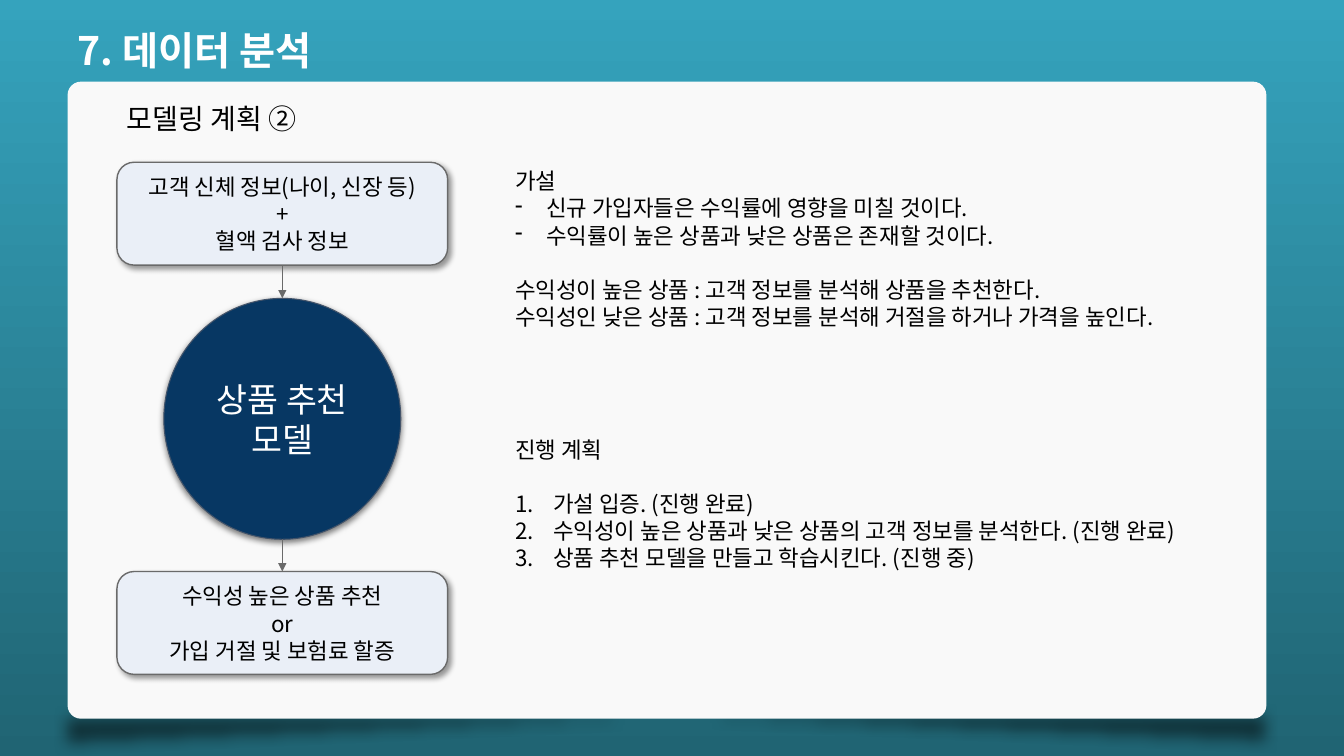
from pptx import Presentation
from pptx.dml.color import RGBColor
from pptx.enum.shapes import MSO_CONNECTOR, MSO_SHAPE
from pptx.enum.text import MSO_ANCHOR, MSO_AUTO_SIZE, PP_ALIGN
from pptx.oxml.ns import qn
from pptx.util import Inches, Pt
from lxml.etree import SubElement

# Content
TITLE = "7. 데이터 분석"
SUBTITLE = "모델링 계획 ②"
CUSTOMER_DATA = ["고객 신체 정보(나이, 신장 등)", "+", "혈액 검사 정보"]
MODEL = ["상품 추천", "모델"]
DECISION = ["수익성 높은 상품 추천", "or", "가입 거절 및 보험료 할증"]
# Each paragraph: text, list kind, starts a new block
HYPOTHESIS = [
    ("가설", None, False),
    ("신규 가입자들은 수익률에 영향을 미칠 것이다.", "dash", False),
    ("수익률이 높은 상품과 낮은 상품은 존재할 것이다.", "dash", False),
    ("수익성이 높은 상품 : 고객 정보를 분석해 상품을 추천한다.", None, True),
    ("수익성인 낮은 상품 : 고객 정보를 분석해 거절을 하거나 가격을 높인다.", None, False),
]
SCHEDULE = [
    ("진행 계획", None, False),
    ("가설 입증. (진행 완료)", "number", True),
    ("수익성이 높은 상품과 낮은 상품의 고객 정보를 분석한다. (진행 완료)", "number", False),
    ("상품 추천 모델을 만들고 학습시킨다. (진행 중)", "number", False),
]

# Format
FONT = "Noto Sans CJK KR"
LINE_HEIGHT = 1.21
COLORS = {"sky": "35A3BD", "sea": "206473", "panel": "F9F9F9", "black": "000000",
          "white": "FFFFFF", "navy": "073763", "navy_edge": "44546A",
          "pale": "EAEFF7", "gray": "6A6A6A"}
LISTS = {"dash": (0.31, "a:buChar", {"char": "-"}),
         "number": (0.38, "a:buAutoNum", {"type": "arabicPeriod"})}
TITLE_FORMAT = {"size": Pt(28), "bold": True}
SUBTITLE_FORMAT = {"size": Pt(20)}
MODEL_FORMAT = {"size": Pt(24)}
BODY_FORMAT = {"size": Pt(16)}
# Shadow: opacity %, blur pt, distance pt, angle
BOX_SHADOW = (40, 4, 3, 45)
MODEL_SHADOW = (50, 4.5, 1.5, 90)

# Layout in inches
FLOW_LEFT, BOX_W, BOX_H = 1.16, 3.28, 1.02
FLOW_MID = FLOW_LEFT + BOX_W / 2
DATA_TOP, DECISION_TOP = 1.61, 5.67
MODEL_TOP, MODEL_W, MODEL_H = 2.96, 2.35, 2.39
NOTES_LEFT = 5.01

prs = Presentation()
prs.slide_width, prs.slide_height = Inches(13.33), Inches(7.5)
slide = prs.slides.add_slide(prs.slide_layouts[6])


def rgb(name):
    return RGBColor.from_string(COLORS[name])


def add_effect(shape, tag, **values):
    effects = shape._element.spPr.find(qn("a:effectLst"))
    return SubElement(effects, qn(tag), {k: str(v) for k, v in values.items()})


def set_alpha(color_element, percent):
    SubElement(color_element, qn("a:alpha"), val=str(percent * 1000))


def add_shape(kind, box, fill, line=None, width=1, shadow=None):
    shape = slide.shapes.add_shape(kind, *map(Inches, box))
    shape.shadow.inherit = False
    shape.fill.solid()
    shape.fill.fore_color.rgb = rgb(fill)
    if line:
        shape.line.color.rgb = rgb(line)
        shape.line.width = Pt(width)
    else:
        shape.line.fill.background()
    if shadow:
        opacity, blur, distance, angle = shadow
        outer = add_effect(shape, "a:outerShdw", blurRad=Pt(blur), dist=Pt(distance),
                           dir=angle * 60000, algn="bl", rotWithShape=0)
        set_alpha(SubElement(outer, qn("a:srgbClr"), val=COLORS["black"]), opacity)
    return shape


def write(shape, paragraphs, text_format, color, align=PP_ALIGN.LEFT):
    frame = shape.text_frame
    frame.word_wrap = True
    pitch = Pt(text_format["size"].pt * LINE_HEIGHT)
    for i, (text, list_kind, new_block) in enumerate(paragraphs):
        paragraph = frame.paragraphs[0] if i == 0 else frame.add_paragraph()
        paragraph.alignment = align
        paragraph.line_spacing = pitch
        if new_block:
            paragraph.space_before = pitch
        run = paragraph.add_run()
        run.text = text
        for name, value in {"name": FONT, **text_format}.items():
            setattr(run.font, name, value)
        run.font.color.rgb = rgb(color)
        SubElement(run.font._element, qn("a:ea"), typeface=FONT)
        if list_kind:
            indent, tag, values = LISTS[list_kind]
            props = paragraph._p.get_or_add_pPr()
            props.set("marL", str(Inches(indent)))
            props.set("indent", str(-Inches(indent)))
            SubElement(props, qn(tag), values)


def add_text(box, paragraphs, text_format, color="black"):
    text_box = slide.shapes.add_textbox(*map(Inches, box))
    write(text_box, paragraphs, text_format, color)
    text_box.text_frame.auto_size = MSO_AUTO_SIZE.SHAPE_TO_FIT_TEXT


def add_node(kind, box, lines, text_format, color, **style):
    node = add_shape(kind, box, **style)
    node.text_frame.vertical_anchor = MSO_ANCHOR.MIDDLE
    write(node, [(line, None, False) for line in lines], text_format, color, PP_ALIGN.CENTER)
    return node


def add_arrow(top, bottom):
    arrow = slide.shapes.add_connector(
        MSO_CONNECTOR.STRAIGHT, *map(Inches, (FLOW_MID, top, FLOW_MID, bottom)))
    arrow.line.color.rgb = rgb("gray")
    arrow.line.width = Pt(1)
    SubElement(arrow.line._get_or_add_ln(), qn("a:tailEnd"), type="triangle")
    SubElement(arrow._element.spPr, qn("a:effectLst"))
    return arrow


# Background
background = slide.background.fill
background.gradient()
background.gradient_angle = 270
for stop, name in zip(background.gradient_stops, ("sky", "sea")):
    stop.color.rgb = rgb(name)

# Panel with soft corner shadows
for left, top, flips in ((0.65, 6.98, ("flipH", "flipV")), (0.54, 7, ("flipV",))):
    corner = add_shape(MSO_SHAPE.RIGHT_TRIANGLE, (left, top, 12.02, 0.5), "black")
    for flip in flips:
        corner._element.spPr.find(qn("a:xfrm")).set(flip, "1")
    set_alpha(corner._element.spPr.find(qn("a:solidFill"))[0], 51)
    add_effect(corner, "a:softEdge", rad=Pt(10))
panel = add_shape(MSO_SHAPE.ROUNDED_RECTANGLE, (0.67, 0.81, 11.89, 6.32), "panel")
panel.adjustments[0] = 0.021

# Headings
add_text((0.67, 0.21, 7.52, 0.57), [(TITLE, None, False)], TITLE_FORMAT, "white")
add_text((1.16, 0.96, 4.05, 0.44), [(SUBTITLE, None, False)], SUBTITLE_FORMAT)

# Flow from customer data through the model to the decision
add_node(MSO_SHAPE.OVAL, (FLOW_MID - MODEL_W / 2, MODEL_TOP, MODEL_W, MODEL_H), MODEL,
         MODEL_FORMAT, "white", fill="navy", line="navy_edge", width=0.75, shadow=MODEL_SHADOW)
customer_data, decision = [
    add_node(MSO_SHAPE.ROUNDED_RECTANGLE, (FLOW_LEFT, top, BOX_W, BOX_H), lines,
             BODY_FORMAT, "black", fill="pale", line="gray", shadow=BOX_SHADOW)
    for top, lines in ((DATA_TOP, CUSTOMER_DATA), (DECISION_TOP, DECISION))]
add_arrow(DATA_TOP + BOX_H, MODEL_TOP).begin_connect(customer_data, 2)
add_arrow(MODEL_TOP + MODEL_H, DECISION_TOP).end_connect(decision, 0)

# Notes
add_text((NOTES_LEFT, 1.61, 7.44, 1.99), HYPOTHESIS, BODY_FORMAT)
add_text((NOTES_LEFT, 4.27, 7.2, 1.45), SCHEDULE, BODY_FORMAT)

prs.save("out.pptx")
